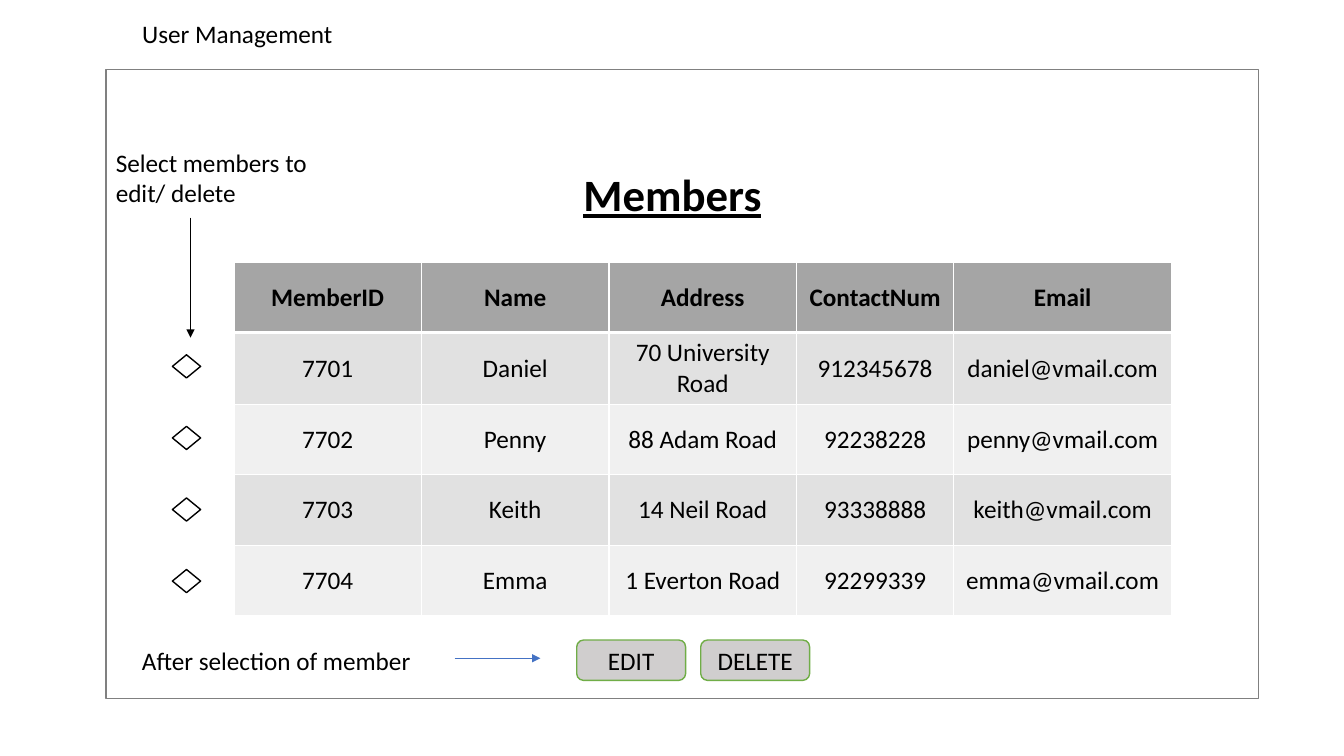
from pptx import Presentation
from pptx.dml.color import RGBColor
from pptx.enum.shapes import MSO_CONNECTOR, MSO_SHAPE as SHAPE
from pptx.enum.text import MSO_ANCHOR as ANCHOR, MSO_AUTO_SIZE as AUTO, PP_ALIGN as ALIGN
from pptx.oxml.xmlchemy import OxmlElement
from pptx.util import Inches, Pt

BLACK = RGBColor(0x00, 0x00, 0x00)
WHITE = RGBColor(0xFF, 0xFF, 0xFF)
FRAME_GRAY = RGBColor(0x80, 0x80, 0x80)
HEADER_GRAY = RGBColor(0xA5, 0xA5, 0xA5)
BANDS = (RGBColor(0xE1, 0xE1, 0xE1), RGBColor(0xF0, 0xF0, 0xF0))
BUTTON_GRAY = RGBColor(0xD0, 0xCE, 0xCE)
GREEN = RGBColor(0x70, 0xAD, 0x47)
BLUE = RGBColor(0x44, 0x72, 0xC4)

BODY = {"name": "Calibri", "size": Pt(18), "bold": False}
HEADER = {**BODY, "bold": True}
HEADING = {**HEADER, "size": Pt(32), "underline": True}

MEMBERS = (
    ("MemberID", "Name", "Address", "ContactNum", "Email"),
    ("7701", "Daniel", "70 University Road", "912345678", "daniel@vmail.com"),
    ("7702", "Penny", "88 Adam Road", "92238228", "penny@vmail.com"),
    ("7703", "Keith", "14 Neil Road", "93338888", "keith@vmail.com"),
    ("7704", "Emma", "1 Everton Road", "92299339", "emma@vmail.com"),
)
COL_WIDTHS = (1.86, 1.86, 1.86, 1.56, 2.16)


def write(tf, text, fmt=BODY, align=ALIGN.CENTER, anchor=ANCHOR.MIDDLE):
    """Write one formatted paragraph into a text frame."""
    tf.word_wrap = True
    tf.vertical_anchor = anchor
    p = tf.paragraphs[0]
    p.alignment = align
    r = p.add_run()
    r.text = text
    for key, value in fmt.items():
        setattr(r.font, key, value)
    r.font.color.rgb = BLACK


def add_box(slide, kind, box, fill=WHITE, line=None):
    """Add a filled preset shape, outlined if a line colour is given."""
    sp = slide.shapes.add_shape(kind, *map(Inches, box))
    sp.shadow.inherit = False
    sp.fill.solid()
    sp.fill.fore_color.rgb = fill
    if line is None:
        sp.line.fill.background()
    else:
        sp.line.color.rgb = line
        sp.line.width = Pt(1)
    return sp


def add_label(slide, text, box):
    """Add a left-aligned text box."""
    sp = slide.shapes.add_textbox(*map(Inches, box))
    write(sp.text_frame, text, align=ALIGN.LEFT, anchor=ANCHOR.TOP)


def add_arrow(slide, start, end, color):
    """Add a thin straight arrow from start to end."""
    cxn = slide.shapes.add_connector(MSO_CONNECTOR.STRAIGHT, *map(Inches, start + end))
    cxn.line.color.rgb = color
    cxn.line.width = Pt(0.5)
    tail = OxmlElement("a:tailEnd")
    tail.set("type", "triangle")
    cxn.line._get_or_add_ln().append(tail)
    cxn._element.spPr.append(OxmlElement("a:effectLst"))


def add_border(cell, side, width):
    """Add a white border to one side of a cell, before its fill is set."""
    ln = OxmlElement(f"a:ln{side}")
    ln.set("w", str(Pt(width)))
    fill, color = OxmlElement("a:solidFill"), OxmlElement("a:srgbClr")
    color.set("val", str(WHITE))
    fill.append(color)
    ln.append(fill)
    cell._tc.get_or_add_tcPr().append(ln)


def add_title(slide, text, box):
    """Move the title placeholder into the box and fill it."""
    sp = slide.shapes.title
    sp.left, sp.top, sp.width, sp.height = map(Inches, box)
    write(sp.text_frame, text, align=ALIGN.LEFT, anchor=ANCHOR.TOP)
    sp.text_frame.auto_size = AUTO.NONE


def add_members_table(slide, box):
    """Add the banded members table with equal row heights."""
    rows, cols = len(MEMBERS), len(COL_WIDTHS)
    table = slide.shapes.add_table(rows, cols, *map(Inches, box)).table
    for col, width in zip(table.columns, COL_WIDTHS):
        col.width = Inches(width)
    for i, record in enumerate(MEMBERS):
        table.rows[i].height = Inches(box[3] / rows)
        for j, text in enumerate(record):
            cell = table.cell(i, j)
            widths = {"L": 1, "R": 1, "T": 3 if i == 1 else 1, "B": 3 if i == 0 else 1}
            for side, width in widths.items():
                add_border(cell, side, width)
            cell.fill.solid()
            cell.fill.fore_color.rgb = BANDS[(i - 1) % 2] if i else HEADER_GRAY
            cell.vertical_anchor = ANCHOR.MIDDLE
            write(cell.text_frame, text, BODY if i else HEADER)


def add_selectors(slide, box):
    """Add the selection note, its arrow and a diamond for each member."""
    x, y, w, h = box
    for i in range(len(MEMBERS) - 1):
        add_box(slide, SHAPE.DIAMOND, (x + 0.66, y + 2.11 + 0.71 * i, 0.28, 0.23), line=BLACK)
    add_arrow(slide, (x + 0.84, y + 0.75), (x + 0.84, y + 1.94), BLACK)
    add_label(slide, "Select members to edit/ delete", (x, y, w, h))


def add_actions(slide, box):
    """Add the bottom row: note, arrow and the two buttons."""
    x, y, w, h = box
    add_label(slide, "After selection of member", (x, y, 3.2, h))
    add_arrow(slide, (x + 3.2, y + 0.18), (x + 4.05, y + 0.18), BLUE)
    button_w, gap = 1.08, 0.15
    left = x + w - 2 * button_w - gap
    for i, text in enumerate(("EDIT", "DELETE")):
        place = (left + i * (button_w + gap), y, button_w, h)
        sp = add_box(slide, SHAPE.ROUNDED_RECTANGLE, place, BUTTON_GRAY, GREEN)
        write(sp.text_frame, text)


def build_members_slide(prs):
    """Build the user management slide."""
    slide = prs.slides.add_slide(prs.slide_layouts[5])
    add_title(slide, "User Management", (1.31, 0.13, 3.98, 0.4))
    add_box(slide, SHAPE.RECTANGLE, (1.05, 0.69, 11.43, 6.24), line=FRAME_GRAY)
    add_members_table(slide, (2.32, 2.6, 9.3, 3.5))
    heading = add_box(slide, SHAPE.RECTANGLE, (4.9, 1.41, 3.54, 1.02))
    write(heading.text_frame, "Members", HEADING)
    add_selectors(slide, (1.05, 1.41, 2.6, 0.71))
    add_actions(slide, (1.31, 6.35, 6.72, 0.4))


prs = Presentation()
prs.slide_width, prs.slide_height = Inches(13.33), Inches(7.5)
build_members_slide(prs)
prs.save("out.pptx")
